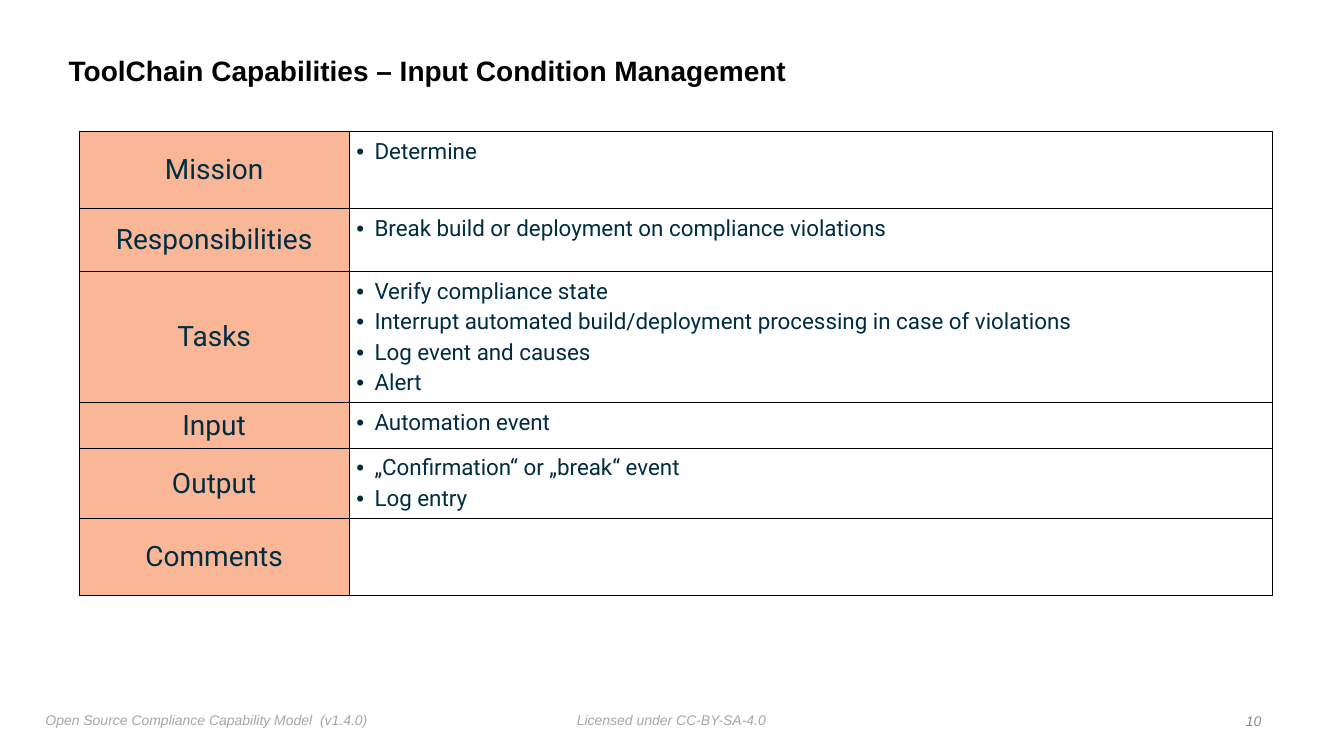
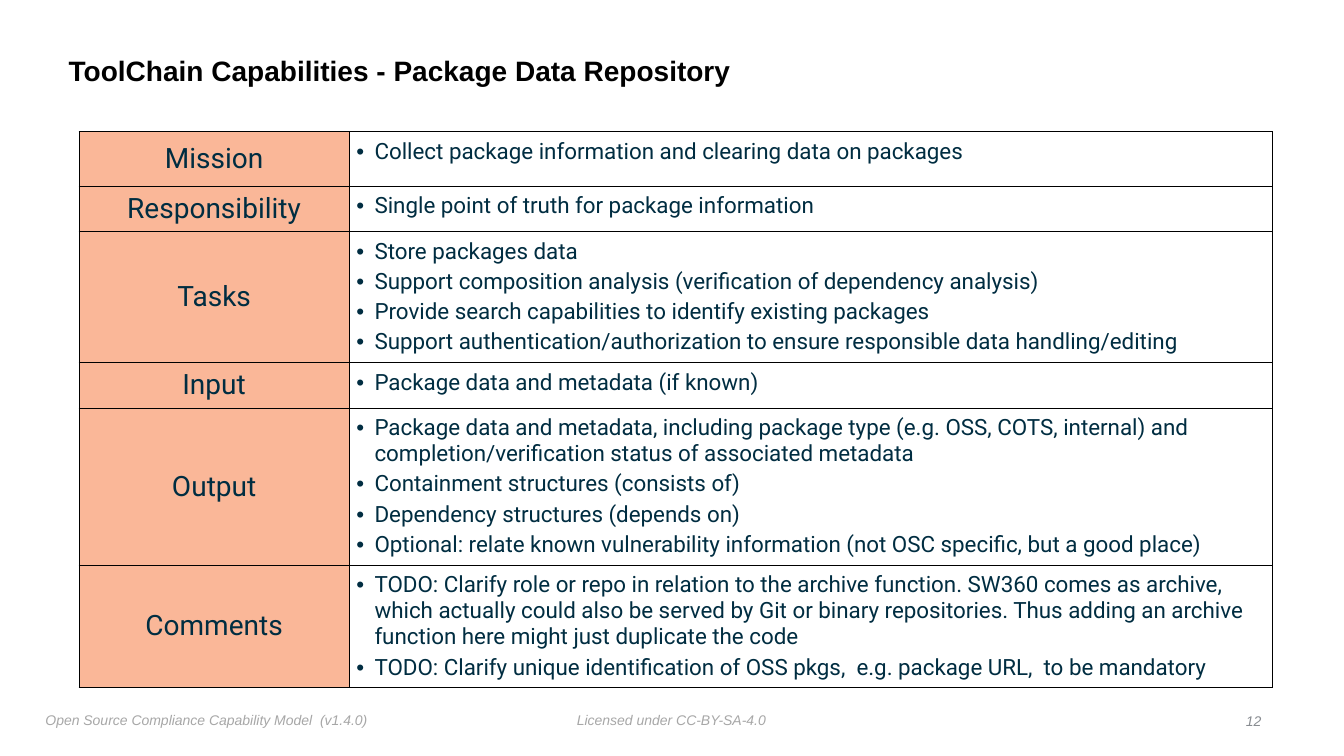
from pptx import Presentation
from pptx.dml.color import RGBColor
from pptx.enum.text import MSO_ANCHOR as Anchor, MSO_AUTO_SIZE as Auto, PP_ALIGN as Align
from pptx.oxml import parse_xml
from pptx.oxml.ns import nsdecls
from pptx.util import Inches, Pt

WIDE, HIGH = Inches(13.33), Inches(7.5)
INK, PEACH, BLACK = "002D41", "FAB798", "000000"
GREY, SLATE = "A7A7A7", "888C91"
SANS, BODY = "Arial", "Roboto"
LABEL = 22.64

HEAD = (4.73, 5.2, 80.65, 8.67)
LEFT = (3, 93.47, 24.91, 3.6)
MID = (42.54, 93.47, 14.93, 3.33)
PAGE = (91.23, 93.73, 3, 3.33)
GRID = (5.88, 17.42, 88.82)

PAGES = [
    ("ToolChain Capabilities – Input Condition Management", "10", 61.07, [
        ("Mission", 76, ["Determine"]),
        ("Responsibilities", 63, ["Break build or deployment on compliance violations"]),
        ("Tasks", 129, [
            "Verify compliance state",
            "Interrupt automated build/deployment processing in case of violations",
            "Log event and causes",
            "Alert"]),
        ("Input", 45, ["Automation event"]),
        ("Output", 69, ["„Confirmation“ or „break“ event", "Log entry"]),
        ("Comments", 76, []),
    ]),
    ("ToolChain Capabilities - Package Data Repository", "12", 73.47, [
        ("Mission", 54, ["Collect package information and clearing data on packages"]),
        ("Responsibility", 45, ["Single point of truth for package information"]),
        ("Tasks", 130, [
            "Store packages data",
            "Support composition analysis (verification of dependency analysis)",
            "Provide search capabilities to identify existing packages",
            "Support authentication/authorization to ensure responsible data handling/editing"]),
        ("Input", 45, ["Package data and metadata (if known)"]),
        ("Output", 156, [
            "Package data and metadata, including package type (e.g. OSS, COTS, internal) "
            "and completion/verification status of associated metadata",
            "Containment structures (consists of)",
            "Dependency structures (depends on)",
            "Optional: relate known vulnerability information (not OSC specific, but a good place)"]),
        ("Comments", 121, [
            "TODO: Clarify role or repo in relation to the archive function. SW360 comes as "
            "archive, which actually could also be served by Git or binary repositories. "
            "Thus adding an archive function here might just duplicate the code",
            "TODO: Clarify unique identification of OSS pkgs,  e.g. package URL,  to be mandatory"]),
    ]),
]


def part(full, share):
    return int(full * share / 100)


def place(box):
    return [part(full, share) for full, share in zip((WIDE, HIGH) * 2, box)]


def tint(code):
    return RGBColor.from_string(code)


def pad(item, size):
    item.margin_left = item.margin_right = size
    item.margin_top = item.margin_bottom = size


def write(para, text, size, face, hue, bold=False, slant=False):
    run = para.add_run()
    run.text = text
    font = run.font
    font.size, font.name = Pt(size), face
    font.bold, font.italic = bold, slant
    font.color.rgb = tint(hue)


def title(slide, box, text):
    head = slide.shapes.title
    head.left, head.top, head.width, head.height = place(box)
    frame = head.text_frame
    pad(frame, part(WIDE, 0.38))
    frame.word_wrap, frame.auto_size = True, Auto.NONE
    frame.vertical_anchor = Anchor.MIDDLE
    para = frame.paragraphs[0]
    para.alignment, para.line_spacing = Align.LEFT, 0.9
    write(para, text, 20, SANS, BLACK, bold=True)


def note(slide, box, text, hue, wrap=False, align=Align.LEFT, anchor=Anchor.TOP):
    shape = slide.shapes.add_textbox(*place(box))
    frame = shape.text_frame
    pad(frame, part(WIDE, 0.38))
    frame.word_wrap, frame.auto_size = wrap, Auto.SHAPE_TO_FIT_TEXT
    frame.vertical_anchor = anchor
    para = frame.paragraphs[0]
    para.alignment = align
    write(para, text, 10, SANS, hue, slant=True)
    return shape


def footer(slide, master):
    for box, text in (
        (MID, "Licensed under CC-BY-SA-4.0"),
        (LEFT, "Open Source Compliance Capability Model  (v1.4.0)"),
    ):
        shape = note(slide, box, text, GREY)
        master.shapes._spTree.append(shape._element)


def border(cell):
    props = cell._tc.get_or_add_tcPr()
    for spot, side in enumerate("LRTB"):
        props.insert(spot, parse_xml(
            f'<a:ln{side} {nsdecls("a")} w="{Pt(0.5)}"><a:solidFill>'
            f'<a:srgbClr val="{BLACK}"/></a:solidFill></a:ln{side}>'))


def label(cell, text):
    cell.fill.solid()
    cell.fill.fore_color.rgb = tint(PEACH)
    pad(cell, 0)
    cell.vertical_anchor = Anchor.MIDDLE
    para = cell.text_frame.paragraphs[0]
    para.alignment = Align.CENTER
    write(para, text, 20, BODY, INK)


def points(cell, lines):
    cell.fill.background()
    pad(cell, part(WIDE, 0.53))
    frame = cell.text_frame
    step = part(WIDE, 1.35)
    for spot, text in enumerate(lines):
        para = frame.add_paragraph() if spot else frame.paragraphs[0]
        props = para._p.get_or_add_pPr()
        props.set("marL", str(step))
        props.set("indent", str(-step))
        for mark in (f'buFont {nsdecls("a")} typeface="{SANS}"',
                     f'buChar {nsdecls("a")} char="•"'):
            props.append(parse_xml(f"<a:{mark}/>"))
        para.space_before = Pt(3 if spot else 0)
        write(para, text, 16, BODY, INK)


def table(slide, box, rows):
    left, top, width, height = place(box)
    grid = slide.shapes.add_table(len(rows), 2, left, top, width, height).table
    grid.first_row = grid.horz_banding = False
    for col, share in zip(grid.columns, (LABEL, 100 - LABEL)):
        col.width = part(width, share)
    total = sum(size for _, size, _ in rows)
    for spot, (name, size, lines) in enumerate(rows):
        grid.rows[spot].height = int(height * size / total)
        label(grid.cell(spot, 0), name)
        points(grid.cell(spot, 1), lines)
        for side in range(2):
            border(grid.cell(spot, side))


def main():
    deck = Presentation()
    deck.slide_width, deck.slide_height = WIDE, HIGH
    for spot, (text, number, height, rows) in enumerate(PAGES):
        slide = deck.slides.add_slide(deck.slide_layouts[5])
        if not spot:
            footer(slide, deck.slide_master)
        title(slide, HEAD, text)
        table(slide, (*GRID, height), rows)
        note(slide, PAGE, number, SLATE, True, Align.RIGHT, Anchor.MIDDLE)
    deck.save("out.pptx")


if __name__ == "__main__":
    main()
